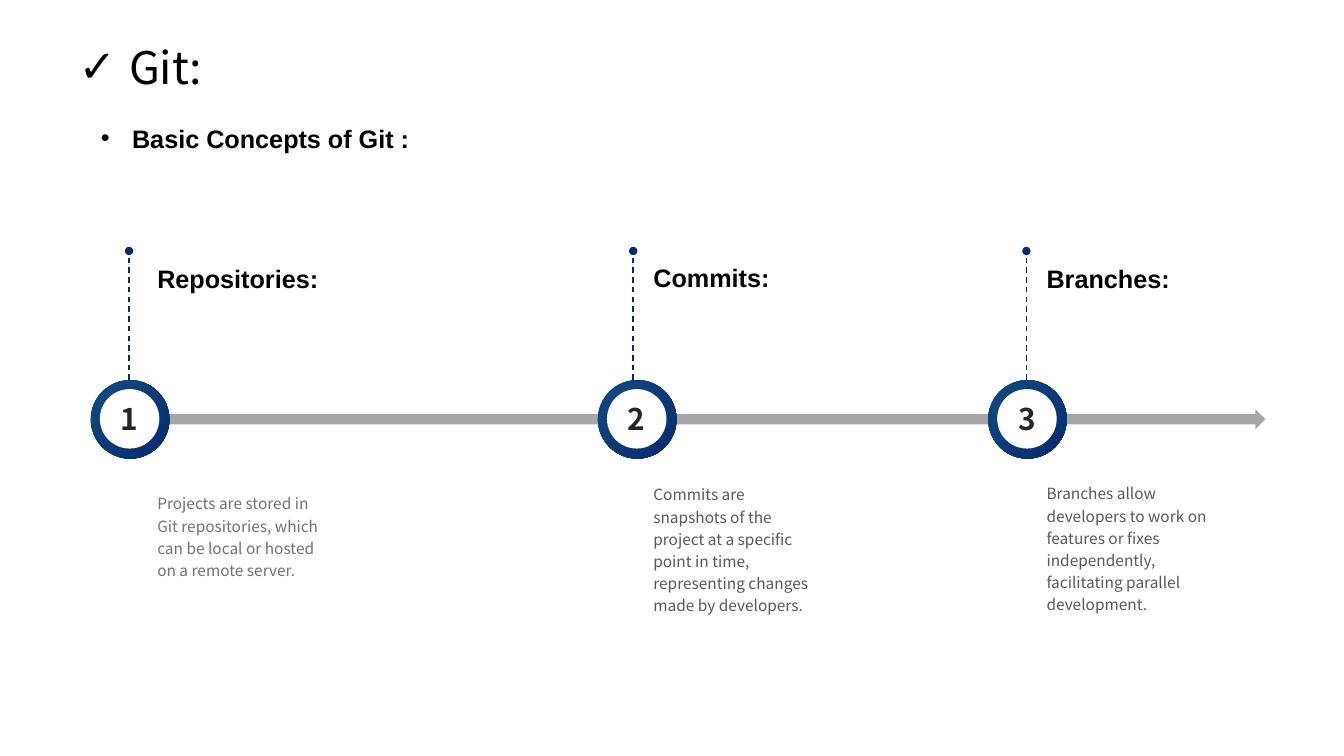
"""Build a slide with a three-step timeline of basic Git concepts."""
from dataclasses import dataclass

from lxml.etree import SubElement
from pptx import Presentation
from pptx.dml.color import RGBColor
from pptx.enum.dml import MSO_LINE
from pptx.enum.shapes import MSO_CONNECTOR, MSO_SHAPE
from pptx.enum.text import MSO_ANCHOR, MSO_AUTO_SIZE, PP_ALIGN
from pptx.oxml.ns import qn
from pptx.util import Inches, Pt


@dataclass(frozen=True)
class Theme:
    sans: str = "Noto Sans CJK SC"
    bold: str = "Arial"
    black: str = "000000"
    white: str = "FFFFFF"
    digit: str = "262626"
    gray: str = "767171"
    dark: str = "595959"
    arrow: str = "A6A6A6"
    light: str = "0E4B85"
    navy: str = "052B70"
    title: float = 32
    head: float = 18
    number: float = 21.3
    note: float = 11


theme = Theme()


def write(shape, text, face, size, color, bold=False, inset=0):
    frame = shape.text_frame
    frame.text = text
    frame.word_wrap = True
    frame.auto_size = MSO_AUTO_SIZE.NONE
    if not inset:
        frame.margin_left = frame.margin_right = 0
        frame.margin_top = frame.margin_bottom = 0
    para = frame.paragraphs[0]
    para.font.name = face
    para.font.size = Pt(size)
    para.font.bold = bold
    para.font.color.rgb = RGBColor.from_string(color)
    return para


def paint(shape, color):
    shape.shadow.inherit = False
    shape.line.fill.background()
    shape.fill.solid()
    shape.fill.fore_color.rgb = RGBColor.from_string(color)


deck = Presentation()
deck.slide_width, deck.slide_height = Inches(13.33), Inches(7.5)
slide = deck.slides.add_slide(deck.slide_layouts[1])
shapes = slide.shapes

heads = [
    (shapes.title, (0.68, 0.35, 6.19, 0.63), "Git:", theme.sans, theme.title, False, "✓", 0.5),
    (slide.placeholders[1], (0.9, 1.17, 5.38, 0.4), "Basic Concepts of Git :",
     theme.bold, theme.head, True, "•", 0.31),
]
for holder, box, text, face, size, bold, mark, indent in heads:
    holder.left, holder.top, holder.width, holder.height = map(Inches, box)
    para = write(holder, text, face, size, theme.black, bold, inset=1)
    holder.text_frame.vertical_anchor = MSO_ANCHOR.MIDDLE
    para.alignment = PP_ALIGN.LEFT
    para.space_before = Pt(0)
    props = para._p.get_or_add_pPr()
    props.set("marL", str(Inches(indent)))
    props.set("indent", str(-Inches(indent)))
    SubElement(props, qn("a:buFont"), typeface="Arial")
    SubElement(props, qn("a:buChar"), char=mark)

arrow = shapes.add_shape(MSO_SHAPE.RIGHT_ARROW, Inches(1.6), Inches(4.06), Inches(10.95), Inches(0.2))
paint(arrow, theme.arrow)

steps = [
    (0.9, 1.28, 1.56, 2.61, 4.87, theme.gray, "Repositories:",
     "Projects are stored in Git repositories, which can be local or hosted on a remote server."),
    (5.93, 6.28, 6.48, 2.6, 4.78, theme.dark, "Commits:",
     "Commits are snapshots of the project at a specific point in time, "
     "representing changes made by developers."),
    (9.8, 10.18, 10.38, 2.61, 4.77, theme.dark, "Branches:",
     "Branches allow developers to work on features or fixes independently, "
     "facilitating parallel development."),
]
for number, (left, stem, edge, top, low, color, name, about) in enumerate(steps, 1):
    label = shapes.add_textbox(Inches(edge), Inches(top), Inches(2.02), Inches(0.37))
    write(label, name, theme.bold, theme.head, theme.black, True)
    note = shapes.add_textbox(Inches(edge), Inches(low), Inches(1.61), Inches(0.47))
    write(note, about, theme.sans, theme.note, color).line_spacing = 1.2

    badge = shapes.add_group_shape().shapes
    ring = badge.add_shape(MSO_SHAPE.DONUT, Inches(left), Inches(3.77), Inches(0.78), Inches(0.78))
    paint(ring, theme.navy)
    ring.adjustments[0] = 0.14
    ring.fill.gradient()
    ring.fill.gradient_angle = 315
    for stop, shade in zip(ring.fill.gradient_stops, (theme.light, theme.navy)):
        stop.color.rgb = RGBColor.from_string(shade)
    disc = badge.add_shape(MSO_SHAPE.OVAL, Inches(left + 0.09), Inches(3.86), Inches(0.59), Inches(0.59))
    paint(disc, theme.white)
    para = write(disc, str(number), theme.sans, theme.number, theme.digit, True)
    para.alignment = PP_ALIGN.CENTER
    disc.text_frame.vertical_anchor = MSO_ANCHOR.MIDDLE

    line = shapes.add_connector(
        MSO_CONNECTOR.STRAIGHT, Inches(stem), Inches(3.77), Inches(stem), Inches(2.49))
    line.line.color.rgb = RGBColor.from_string(theme.navy)
    line.line.width = Pt(1)
    line.line.dash_style = MSO_LINE.DASH
    SubElement(line.line._get_or_add_ln(), qn("a:tailEnd"), type="oval")
    SubElement(line._element.spPr, qn("a:effectLst"))

deck.save("out.pptx")
